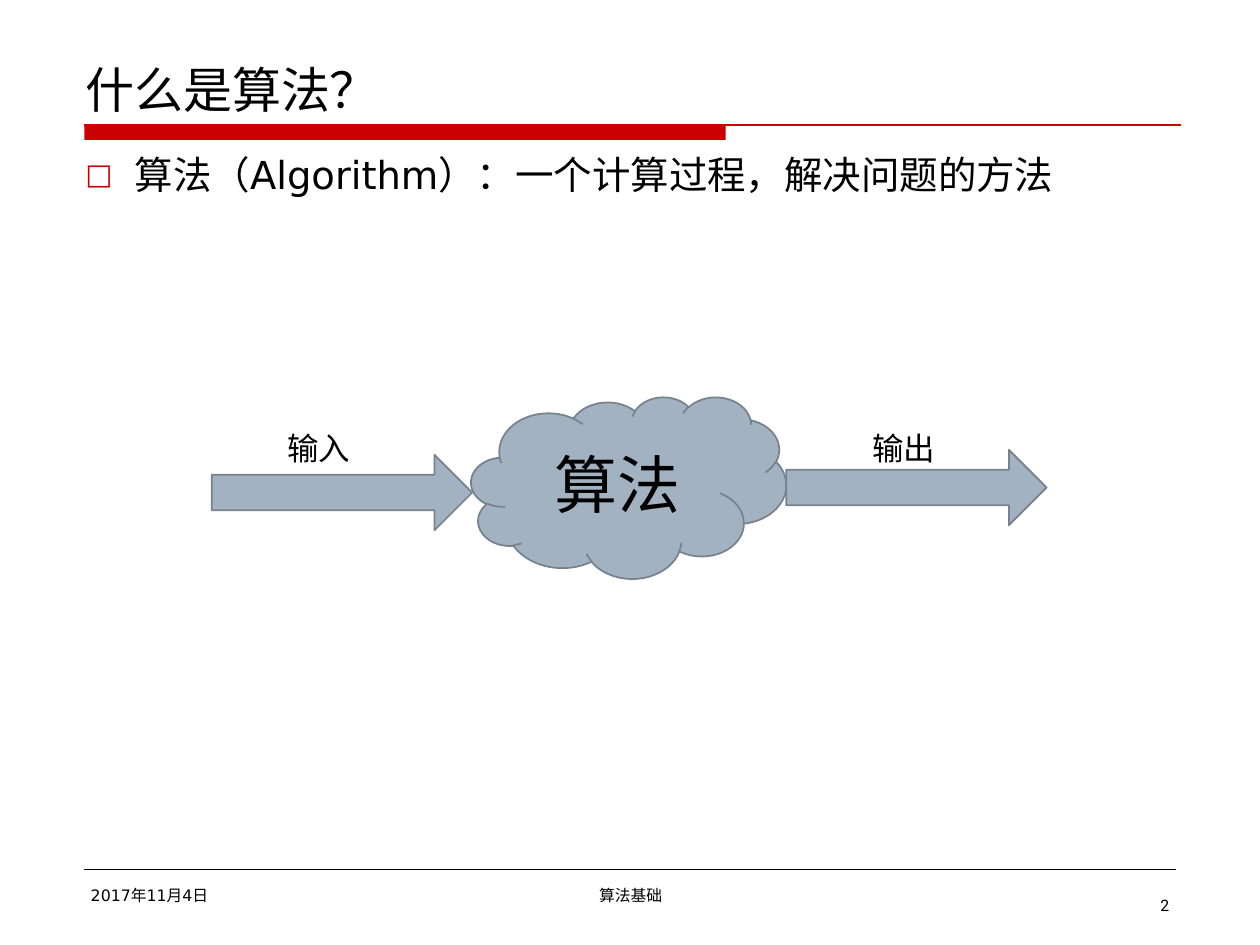
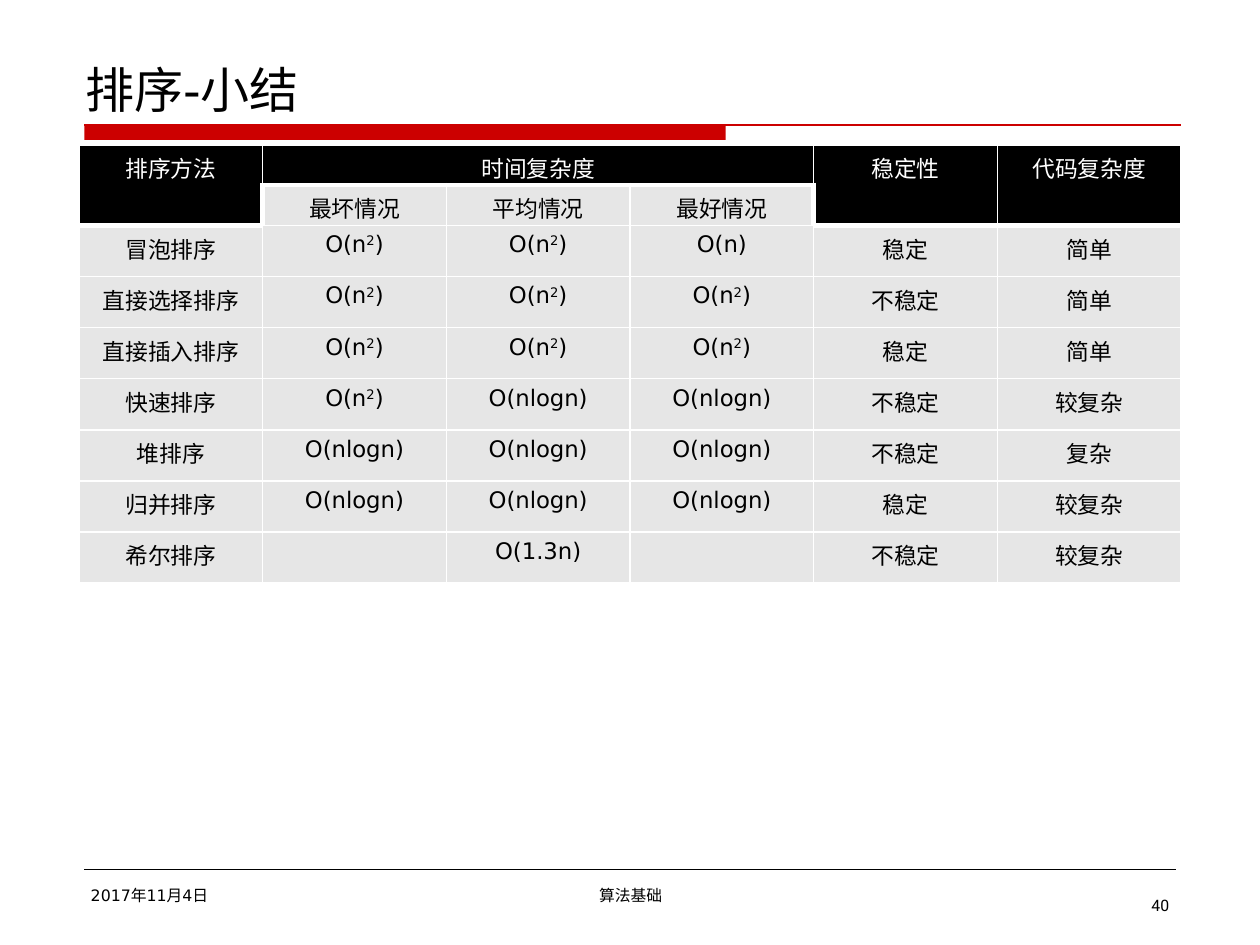
from lxml.etree import SubElement
from pptx import Presentation
from pptx.dml.color import RGBColor
from pptx.enum.shapes import MSO_CONNECTOR as Connector, MSO_SHAPE as Preset
from pptx.enum.text import MSO_ANCHOR as Anchor, MSO_AUTO_SIZE as AutoSize, PP_ALIGN as Align
from pptx.oxml.ns import qn
from pptx.util import Cm, Pt

COLORS = {
    "accent": "CC0000",
    "text": "000000",
    "paper": "FFFFFF",
    "shape": "A3B2C1",
    "outline": "77828D",
    "cell": "E6E6E6",
}
LATIN, CHINESE, NUMBER = "DejaVu Sans", "Noto Sans CJK SC", "Roboto"
MARGIN = Cm(0.13)
LEFT, CONTENT_LEFT, CONTENT_TOP, CONTENT_WIDTH = 1.7, 1.59, 2.92, 22.22
FOOTER_TOP, FOOTER_RIGHT = 17.73, 23.7

HEADERS = ["排序方法", "时间复杂度", "", "", "稳定性", "代码复杂度"]
CASES = ["", "最坏情况", "平均情况", "最好情况", "", ""]
SORTS = [
    ["冒泡排序", "O(n²)", "O(n²)", "O(n)", "稳定", "简单"],
    ["直接选择排序", "O(n²)", "O(n²)", "O(n²)", "不稳定", "简单"],
    ["直接插入排序", "O(n²)", "O(n²)", "O(n²)", "稳定", "简单"],
    ["快速排序", "O(n²)", "O(nlogn)", "O(nlogn)", "不稳定", "较复杂"],
    ["堆排序", "O(nlogn)", "O(nlogn)", "O(nlogn)", "不稳定", "复杂"],
    ["归并排序", "O(nlogn)", "O(nlogn)", "O(nlogn)", "稳定", "较复杂"],
    ["希尔排序", "", "O(1.3n)", "", "不稳定", "较复杂"],
]
TALL_COLUMNS = (0, 4, 5)


def rgb(name):
    return RGBColor.from_string(COLORS[name])


def write(para, text, size=18, color="text", align=Align.LEFT, latin=LATIN):
    para.alignment = align
    pieces = text.replace("²", "|²|").split("|")
    for piece in filter(None, pieces):
        span = para.add_run()
        span.text = piece.replace("²", "2")
        span.font.size = Pt(size)
        span.font.name = latin
        span.font.color.rgb = rgb(color)
        properties = span.font._element
        SubElement(properties, qn("a:ea"), typeface=CHINESE)
        if piece == "²":
            properties.set("baseline", "30000")


def set_margins(target):
    target.margin_left = target.margin_right = MARGIN
    target.margin_top = target.margin_bottom = MARGIN


def add_bullet(para):
    properties = para._p.get_or_add_pPr()
    properties.set("marL", str(Cm(1)))
    properties.set("indent", str(-Cm(1)))
    tint = SubElement(properties, qn("a:buClr"))
    SubElement(tint, qn("a:srgbClr"), val=COLORS["accent"])
    SubElement(properties, qn("a:buSzPct"), val="75000")
    SubElement(properties, qn("a:buFont"), typeface=LATIN)
    SubElement(properties, qn("a:buChar"), char="□")


def set_borders(cell, widths):
    properties = cell._tc.get_or_add_tcPr()
    for side in "LRTB":
        line = SubElement(properties, qn(f"a:ln{side}"), w=str(Pt(widths.get(side, 1))))
        fill = SubElement(line, qn("a:solidFill"))
        SubElement(fill, qn("a:srgbClr"), val=COLORS["paper"])


def border_widths(row, column):
    widths = {}
    if row == 0:
        widths["B"] = 3
    if row == 1 or (row == 2 and column in TALL_COLUMNS):
        widths["T"] = 3
    if (row, column) == (1, 1):
        widths["L"] = 3
    if (row, column) == (1, 3):
        widths["R"] = 3
    return widths


class Slides:
    def __init__(self):
        self.deck = Presentation()
        self.deck.slide_width, self.deck.slide_height = Cm(25.4), Cm(19.05)
        self.page = None

    def start(self, layout, title, number):
        self.page = self.deck.slides.add_slide(self.deck.slide_layouts[layout])
        bar = self.shape(Preset.RECTANGLE, LEFT, 2.52, 12.93, 0.3, fill="accent")
        bar.line.fill.background()
        self.line(LEFT, 23.8, 2.52, "accent", 0.75)
        self.line(LEFT, FOOTER_RIGHT, 17.53, "text", 0.25)
        self.placeholder(self.page.shapes.title, 0.84, 1.68, title, 28, Anchor.BOTTOM)
        self.text("2017年11月4日", LEFT, FOOTER_TOP, 5.51, 0.71, size=9)
        self.text("算法基础", 8.69, FOOTER_TOP, 8.05, 0.71, size=9, align=Align.CENTER)
        width = 0.28 + 0.2 * len(number)
        self.text(number, FOOTER_RIGHT - width, 17.93, width, 0.64, wrap=False,
                  size=9, align=Align.RIGHT, latin=NUMBER)

    def placeholder(self, box, top, height, text, size, anchor):
        box.left, box.top = Cm(CONTENT_LEFT), Cm(top)
        box.width, box.height = Cm(CONTENT_WIDTH), Cm(height)
        frame = box.text_frame
        frame.auto_size = AutoSize.NONE
        frame.vertical_anchor = anchor
        set_margins(frame)
        write(frame.paragraphs[0], text, size=size)
        return frame.paragraphs[0]

    def bullet(self, text):
        body = self.page.placeholders[1]
        para = self.placeholder(body, CONTENT_TOP, 13.79, text, 22, Anchor.TOP)
        para.space_before = Pt(5)
        add_bullet(para)

    def text(self, text, left, top, width, height, wrap=True, **style):
        box = self.page.shapes.add_textbox(Cm(left), Cm(top), Cm(width), Cm(height))
        frame = box.text_frame
        frame.word_wrap = wrap
        frame.auto_size = AutoSize.SHAPE_TO_FIT_TEXT
        set_margins(frame)
        write(frame.paragraphs[0], text, **style)

    def line(self, start, end, top, color, width):
        line = self.page.shapes.add_connector(
            Connector.STRAIGHT, Cm(start), Cm(top), Cm(end), Cm(top))
        line.line.color.rgb = rgb(color)
        line.line.width = Pt(width)
        SubElement(line._element.spPr, qn("a:effectLst"))

    def shape(self, preset, left, top, width, height, fill="shape"):
        shape = self.page.shapes.add_shape(
            preset, Cm(left), Cm(top), Cm(width), Cm(height))
        shape.shadow.inherit = False
        shape.fill.solid()
        shape.fill.fore_color.rgb = rgb(fill)
        shape.line.color.rgb = rgb("outline")
        shape.line.width = Pt(1)
        return shape

    def arrow(self, left, top, label, label_left):
        arrow = self.shape(Preset.RIGHT_ARROW, left, top, 5.25, 1.52)
        arrow.adjustments[0] = 0.47
        self.text(label, label_left, 8.51, 2, 1.14)

    def cloud(self, text):
        cloud = self.shape(Preset.CLOUD, 9.5, 8, 6.35, 3.66)
        frame = cloud.text_frame
        frame.vertical_anchor = Anchor.MIDDLE
        set_margins(frame)
        write(frame.paragraphs[0], text, size=36, align=Align.CENTER)

    def table(self, rows):
        heights = [0.51] * 2 + [1.03] * (len(rows) - 2)
        table = self.page.shapes.add_table(
            len(rows), len(rows[0]), Cm(CONTENT_LEFT), Cm(CONTENT_TOP),
            Cm(CONTENT_WIDTH), Cm(sum(heights))).table
        table.first_row = table.horz_banding = False
        for line, height in zip(table.rows, heights):
            line.height = Cm(height)
        for row, values in enumerate(rows):
            for column, value in enumerate(values):
                header = row == 0 or (row == 1 and column in TALL_COLUMNS)
                cell = table.cell(row, column)
                set_margins(cell)
                set_borders(cell, border_widths(row, column))
                cell.fill.solid()
                cell.fill.fore_color.rgb = rgb("text" if header else "cell")
                write(cell.text_frame.paragraphs[0], value, size=13,
                      color="paper" if header else "text", align=Align.CENTER)
        table.cell(0, 1).merge(table.cell(0, 3))
        for column in TALL_COLUMNS:
            table.cell(0, column).merge(table.cell(1, column))


def main():
    slides = Slides()

    slides.start(1, "什么是算法？", "2")
    slides.bullet("算法（Algorithm）：一个计算过程，解决问题的方法")
    slides.cloud("算法")
    slides.arrow(4.27, 9.17, "输入", 5.66)
    slides.arrow(15.85, 9.07, "输出", 17.45)

    slides.start(5, "排序-小结", "40")
    slides.table([HEADERS, CASES, *SORTS])

    slides.deck.save("out.pptx")


if __name__ == "__main__":
    main()
